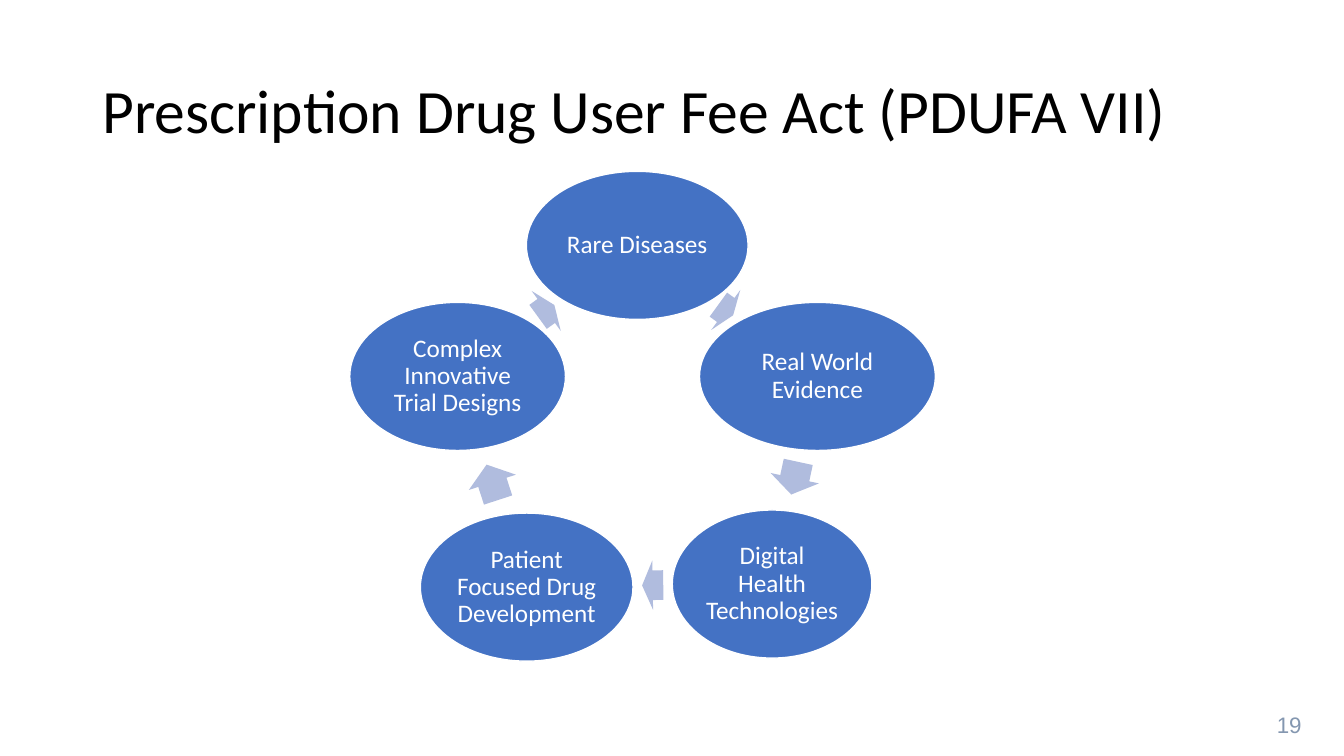
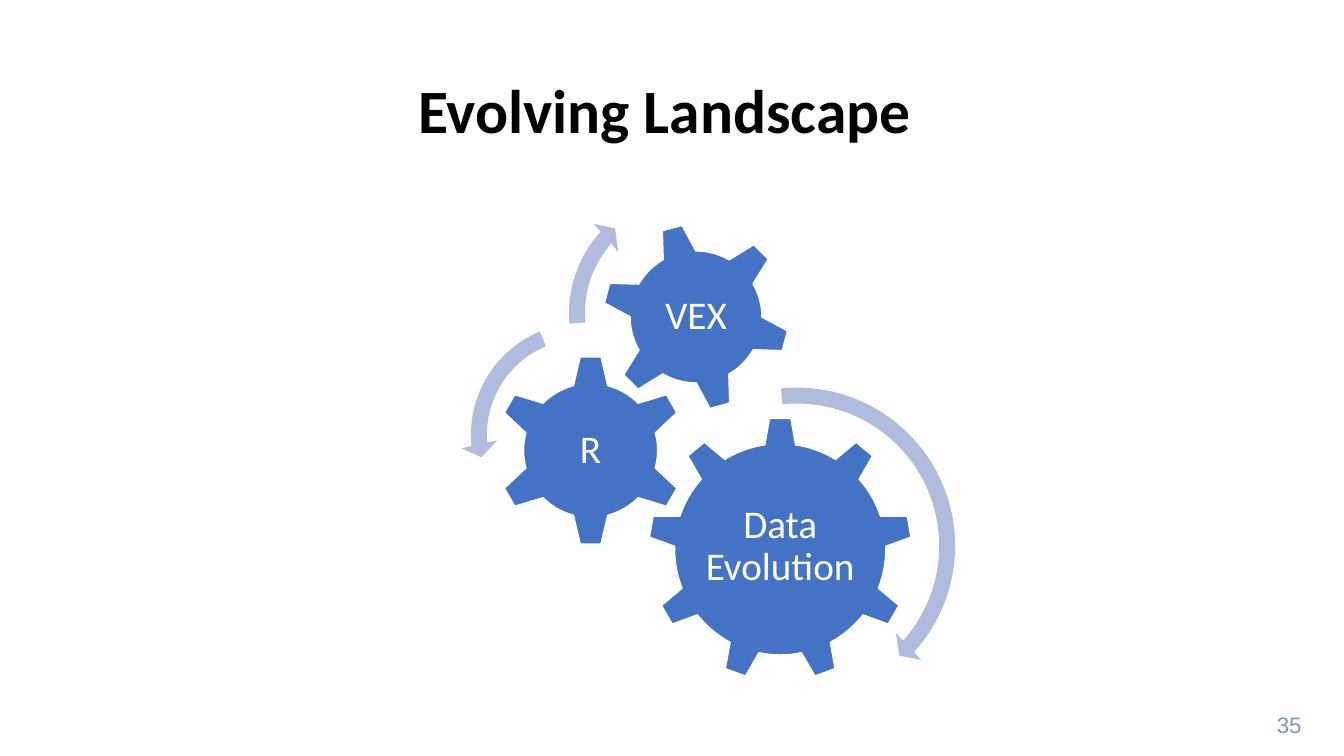
from pptx import Presentation
from pptx.dml.color import RGBColor
from pptx.enum.shapes import MSO_SHAPE
from pptx.enum.text import MSO_ANCHOR, PP_ALIGN
from pptx.util import Pt

BLUE = RGBColor(0x44, 0x72, 0xC4)
PALE_BLUE = RGBColor(0xB0, 0xBC, 0xDE)
SLATE = RGBColor(0x84, 0x97, 0xB0)
WHITE = RGBColor(0xFF, 0xFF, 0xFF)
BLACK = RGBColor(0x00, 0x00, 0x00)

ELLIPSE = MSO_SHAPE.OVAL
ARROW = MSO_SHAPE.RIGHT_ARROW
GEAR_6 = MSO_SHAPE.GEAR_6
GEAR_9 = MSO_SHAPE.GEAR_9
CLOCKWISE = MSO_SHAPE.CIRCULAR_ARROW
COUNTERCLOCKWISE = MSO_SHAPE.LEFT_CIRCULAR_ARROW
LEFT, CENTER, RIGHT = PP_ALIGN.LEFT, PP_ALIGN.CENTER, PP_ALIGN.RIGHT
TOP, MIDDLE = MSO_ANCHOR.TOP, MSO_ANCHOR.MIDDLE

ELLIPSE_HEIGHT = 105.8
ARROW_HEIGHT = 35.3

CYCLE = [
    ("Rare Diseases", (455.2, 175.3), 158.4, (518.4, 221.4), 13, 36),
    ("Real World Evidence", (583.9, 268.9), 168.5, (567.7, 341.6), 23.8, 102.2),
    ("Digital Health Technologies", (551.5, 417.2), 142.6, (466.2, 418), 15.1, 179.1),
    ("Patient Focused Drug Development", (376.2, 419.4), 151.9, (351.7, 344.5), 26.6, 252),
    ("Complex Innovative Trial Designs", (326.9, 268.9), 154.1, (390.2, 222.1), 14.4, 324),
]
GEARS = [
    ("Data Evolution", GEAR_9, (557.3, 392.4), 188.6, 0, 2),
    ("R", GEAR_6, (421.9, 321.8), 136.8, 0, 0),
    ("VEX", GEAR_6, (497.2, 226.4), 134.6, 345, 0),
]
SWINGS = [
    (CLOCKWISE, (569.2, 389.9), 241.2, (0.047, 2.99, 25.198, 158.534, 0.055)),
    (COUNTERCLOCKWISE, (416.5, 310.7), 175, (0.065, 4.3, 104.891, 148.378, 0.075)),
    (CLOCKWISE, (493.2, 223.9), 188.6, (0.06, 3.941, 133.138, 105.082, 0.07)),
]


def write_text(box, text, size, color=WHITE, font="Calibri", bold=False,
               align=CENTER, anchor=MIDDLE, spacing=0.9, inset=None):
    frame = box.text_frame
    frame.word_wrap = True
    frame.vertical_anchor = anchor
    if inset is not None:
        frame.margin_left = frame.margin_right = Pt(inset)
        frame.margin_top = frame.margin_bottom = Pt(inset)
    para = frame.paragraphs[0]
    para.alignment = align
    para.line_spacing = spacing
    span = para.add_run()
    span.text = text
    span.font.name = font
    span.font.size = Pt(size)
    span.font.bold = bold
    span.font.color.rgb = color


def add_text_box(page, left, top, width, height, text, size, **style):
    box = page.shapes.add_textbox(Pt(left), Pt(top), Pt(width), Pt(height))
    write_text(box, text, size, **style)


def add_centered_shape(page, kind, center, width, height, fill,
                       outline=None, rotation=0, adjustments=()):
    shape = page.shapes.add_shape(kind, Pt(center[0] - width / 2),
                                  Pt(center[1] - height / 2), Pt(width), Pt(height))
    shape.shadow.inherit = False
    shape.rotation = rotation
    shape.fill.solid()
    shape.fill.fore_color.rgb = fill
    if outline is None:
        shape.line.fill.background()
    else:
        shape.line.color.rgb = outline
        shape.line.width = Pt(1)
    for index, value in enumerate(adjustments):
        shape.adjustments[index] = value
    return shape


def add_page(deck, title, number, **title_style):
    page = deck.slides.add_slide(deck.slide_layouts[6])
    add_text_box(page, 902.2, 504.7, 34.6, 26.6, number, 16, color=SLATE,
                 font="Arial", align=RIGHT, anchor=TOP, spacing=1)
    add_text_box(page, 66, 28.75, 828, 104.4, title, 44, color=BLACK, **title_style)
    return page


def add_cycle(page):
    for text, center, width, arrow_center, arrow_width, angle in CYCLE:
        ellipse = add_centered_shape(page, ELLIPSE, center, width, ELLIPSE_HEIGHT,
                                     BLUE, outline=WHITE)
        write_text(ellipse, text, 18, inset=2)
        add_centered_shape(page, ARROW, arrow_center, arrow_width, ARROW_HEIGHT,
                           PALE_BLUE, rotation=angle, adjustments=(0.6, 0.5))


def add_gears(page):
    for text, kind, (x, y), size, angle, lift in GEARS:
        add_centered_shape(page, kind, (x, y), size, size, BLUE,
                           outline=WHITE, rotation=angle)
        label = size * 0.6
        add_text_box(page, x - label / 2, y - label / 2 - lift, label, label,
                     text, 28, inset=2.8)
    for kind, center, size, adjustments in SWINGS:
        add_centered_shape(page, kind, center, size, size, PALE_BLUE,
                           adjustments=adjustments)


def main():
    deck = Presentation()
    deck.slide_width, deck.slide_height = Pt(960), Pt(540)
    add_cycle(add_page(deck, "Prescription Drug User Fee Act (PDUFA VII)", "19", align=LEFT))
    add_gears(add_page(deck, "Evolving Landscape ", "35", bold=True))
    deck.save("out.pptx")


if __name__ == "__main__":
    main()
